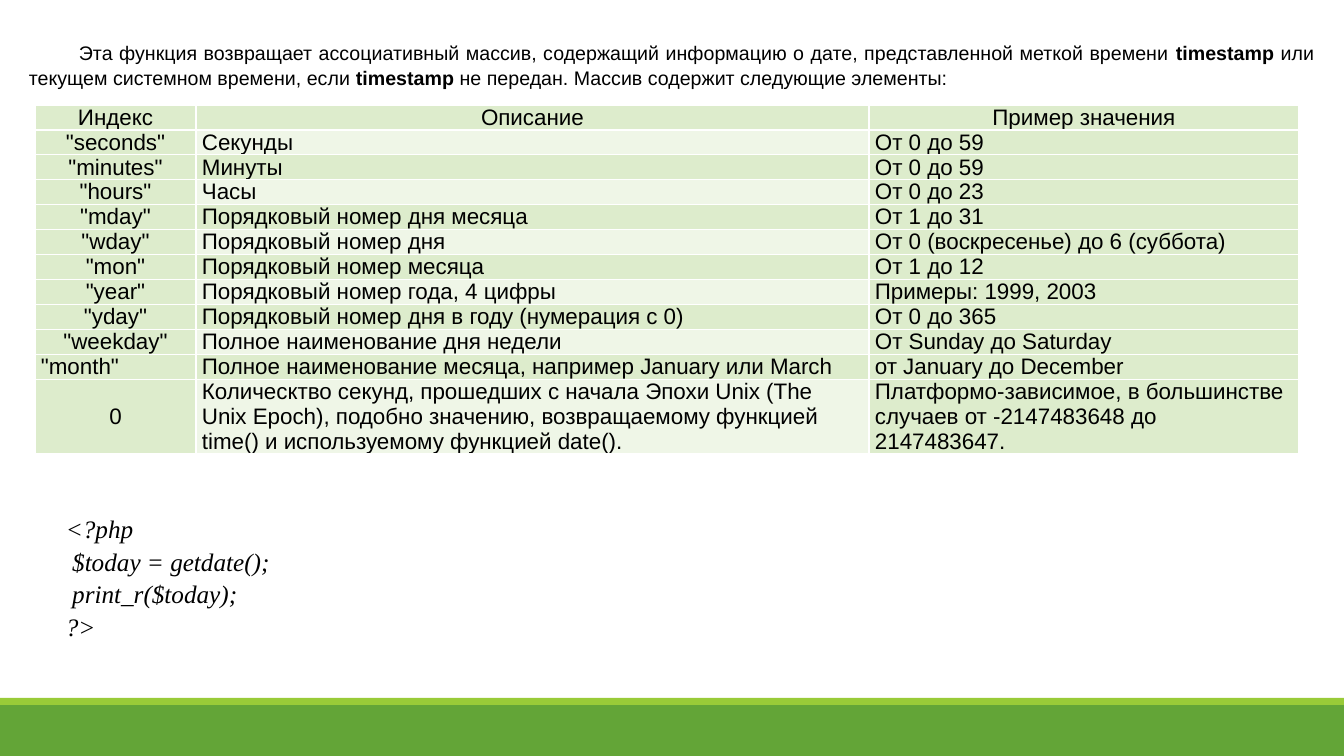
import pptx
import pptx.util
import pptx.dml.color
import pptx.enum.shapes
import pptx.enum.text
import pptx.oxml
import pptx.oxml.ns

EMU_PER_PX = 914400 / 100.8
ALIGN = pptx.enum.text.PP_ALIGN
MIDDLE = pptx.enum.text.MSO_ANCHOR.MIDDLE

INTRO = [
    ("Эта функция возвращает ассоциативный массив, содержащий информацию "
     "о дате, представленной меткой времени ", False),
    ("timestamp", True),
    (" или текущем системном времени, если ", False),
    ("timestamp", True),
    (" не передан. Массив содержит следующие элементы:", False),
]
COLUMN_WIDTHS = [161, 673, 430]
ELEMENTS = [
    ("Индекс", "Описание", "Пример значения"),
    ('"seconds"', "Секунды", "От 0 до 59"),
    ('"minutes"', "Минуты", "От 0 до 59"),
    ('"hours"', "Часы", "От 0 до 23"),
    ('"mday"', "Порядковый номер дня месяца", "От 1 до 31"),
    ('"wday"', "Порядковый номер дня", "От 0 (воскресенье) до 6 (суббота)"),
    ('"mon"', "Порядковый номер месяца", "От 1 до 12"),
    ('"year"', "Порядковый номер года, 4 цифры", "Примеры: 1999, 2003"),
    ('"yday"', "Порядковый номер дня в году (нумерация с 0)", "От 0 до 365"),
    ('"weekday"', "Полное наименование дня недели", "От Sunday до Saturday"),
    ('"month"', "Полное наименование месяца, например January или March",
     "от January до December"),
    ("0", "Колическтво секунд, прошедших с начала Эпохи Unix (The Unix Epoch), "
     "подобно значению, возвращаемому функцией time() и используемому "
     "функцией date().",
     "Платформо-зависимое, в большинстве случаев от -2147483648 до 2147483647."),
]
CODE = ["<?php", " $today = getdate();", " print_r($today);", "?>"]


def px(length):
    return pptx.util.Emu(round(length * EMU_PER_PX))


def color(value):
    return pptx.dml.color.RGBColor.from_string(value)


def set_font(paragraph, name, size):
    paragraph.font.name = name
    paragraph.font.size = pptx.util.Pt(size)
    paragraph.font.color.rgb = color("000000")


def add_text_frame(slide, box):
    frame = slide.shapes.add_textbox(*map(px, box)).text_frame
    frame.word_wrap = True
    return frame


def add_footer(slide, left, top, width, height):
    stripe = 7
    bands = [(top + stripe, height - stripe, "63A537"), (top, stripe, "99CB38")]
    for band_top, band_height, fill in bands:
        band = slide.shapes.add_shape(
            pptx.enum.shapes.MSO_SHAPE.RECTANGLE,
            px(left), px(band_top), px(width), px(band_height))
        band.shadow.inherit = False
        band.fill.solid()
        band.fill.fore_color.rgb = color(fill)
        band.line.fill.background()


def add_cell_borders(cell):
    properties = cell._tc.get_or_add_tcPr()
    for position, side in enumerate(("lnL", "lnR", "lnT", "lnB")):
        # Borders must come before the fill
        properties.insert(position, pptx.oxml.parse_xml(
            f'<a:{side} {pptx.oxml.ns.nsdecls("a")} w="12700"><a:solidFill>'
            f'<a:srgbClr val="FFFFFF"/></a:solidFill></a:{side}>'))


def cell_alignment(row, column):
    if ELEMENTS[row][0] == '"month"':
        return ALIGN.JUSTIFY
    return ALIGN.CENTER if row == 0 or column == 0 else ALIGN.LEFT


def add_elements_table(slide, left, top, row_height):
    table = slide.shapes.add_table(
        len(ELEMENTS), len(COLUMN_WIDTHS), px(left), px(top),
        px(sum(COLUMN_WIDTHS)), px(row_height * len(ELEMENTS))).table
    for column, width in zip(table.columns, COLUMN_WIDTHS):
        column.width = px(width)
    for row, texts in enumerate(ELEMENTS):
        table.rows[row].height = px(row_height)
        for column, text in enumerate(texts):
            cell = table.cell(row, column)
            cell.margin_left = cell.margin_right = px(6)
            cell.margin_top = cell.margin_bottom = 0
            cell.vertical_anchor = MIDDLE
            cell.fill.solid()
            light = column == 1 and row % 2 == 1
            cell.fill.fore_color.rgb = color("EFF6E7" if light else "DDECCC")
            add_cell_borders(cell)
            paragraph = cell.text_frame.paragraphs[0]
            paragraph.text = text
            paragraph.alignment = cell_alignment(row, column)
            set_font(paragraph, "Arial", 16)
            paragraph.font.bold = False


def add_intro(slide, *box):
    frame = add_text_frame(slide, box)
    frame.vertical_anchor = MIDDLE
    paragraph = frame.paragraphs[0]
    paragraph.alignment = ALIGN.JUSTIFY
    paragraph.line_spacing = 1.08
    paragraph._p.get_or_add_pPr().set("indent", str(px(50)))
    for text, bold in INTRO:
        run = paragraph.add_run()
        run.text = text
        run.font.bold = bold
    set_font(paragraph, "Arial", 14)


def add_code(slide, *box):
    frame = add_text_frame(slide, box)
    frame.text = "\n".join(CODE)
    for paragraph in frame.paragraphs:
        paragraph.alignment = ALIGN.JUSTIFY
        paragraph.line_spacing = 1.08
        set_font(paragraph, "Times New Roman", 18)
        paragraph.font.italic = True


def main():
    presentation = pptx.Presentation()
    presentation.slide_width, presentation.slide_height = px(1344), px(756)
    slide = presentation.slides.add_slide(presentation.slide_layouts[6])
    # Green bands along the bottom edge
    add_footer(slide, 0, 698, 1344, 58)
    # Elements of the returned array
    add_elements_table(slide, 35, 105, 22)
    # Introduction above the table
    add_intro(slide, 19, 35, 1305, 58)
    # Usage example
    add_code(slide, 56, 506, 362, 132)
    presentation.save("out.pptx")


if __name__ == "__main__":
    main()
